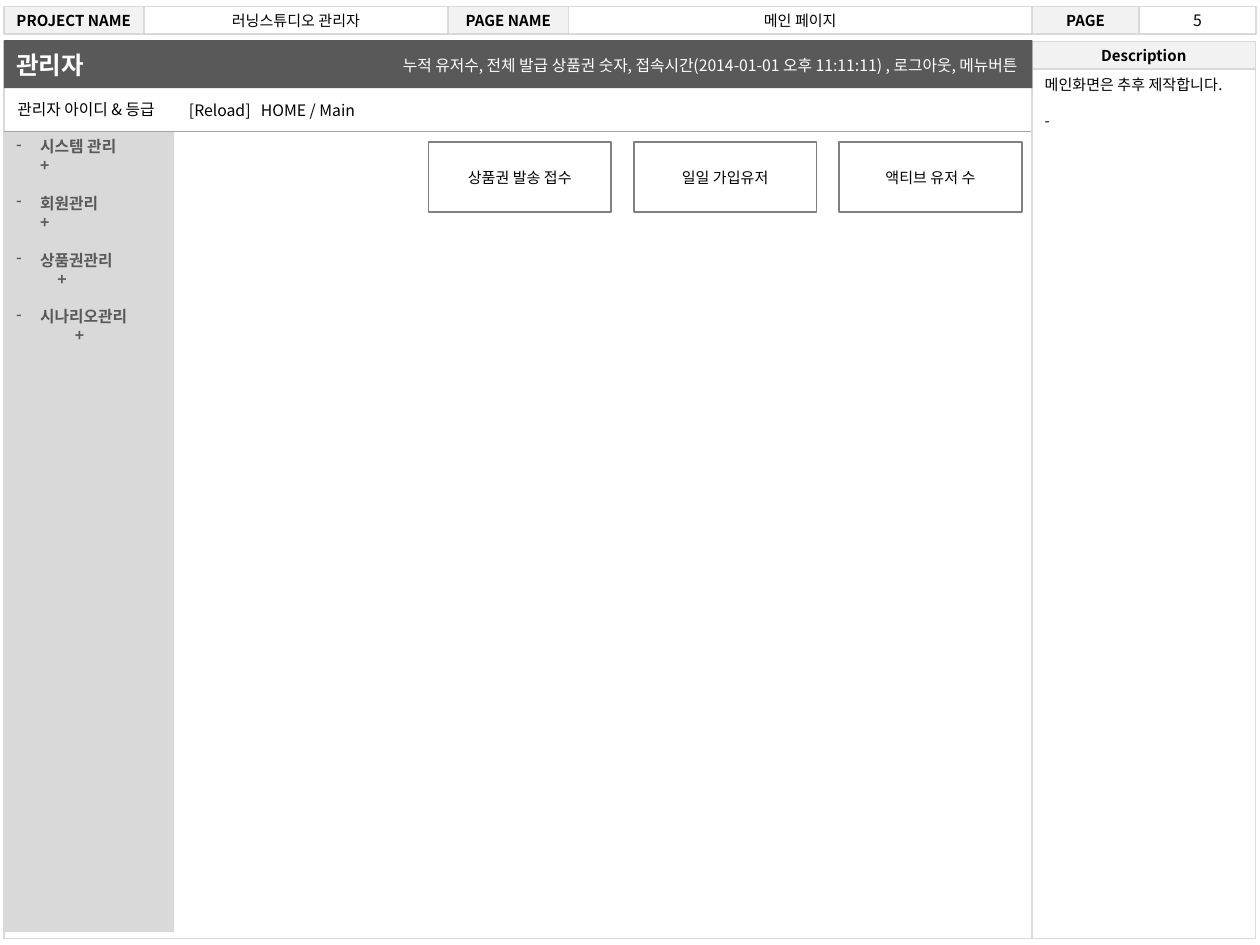
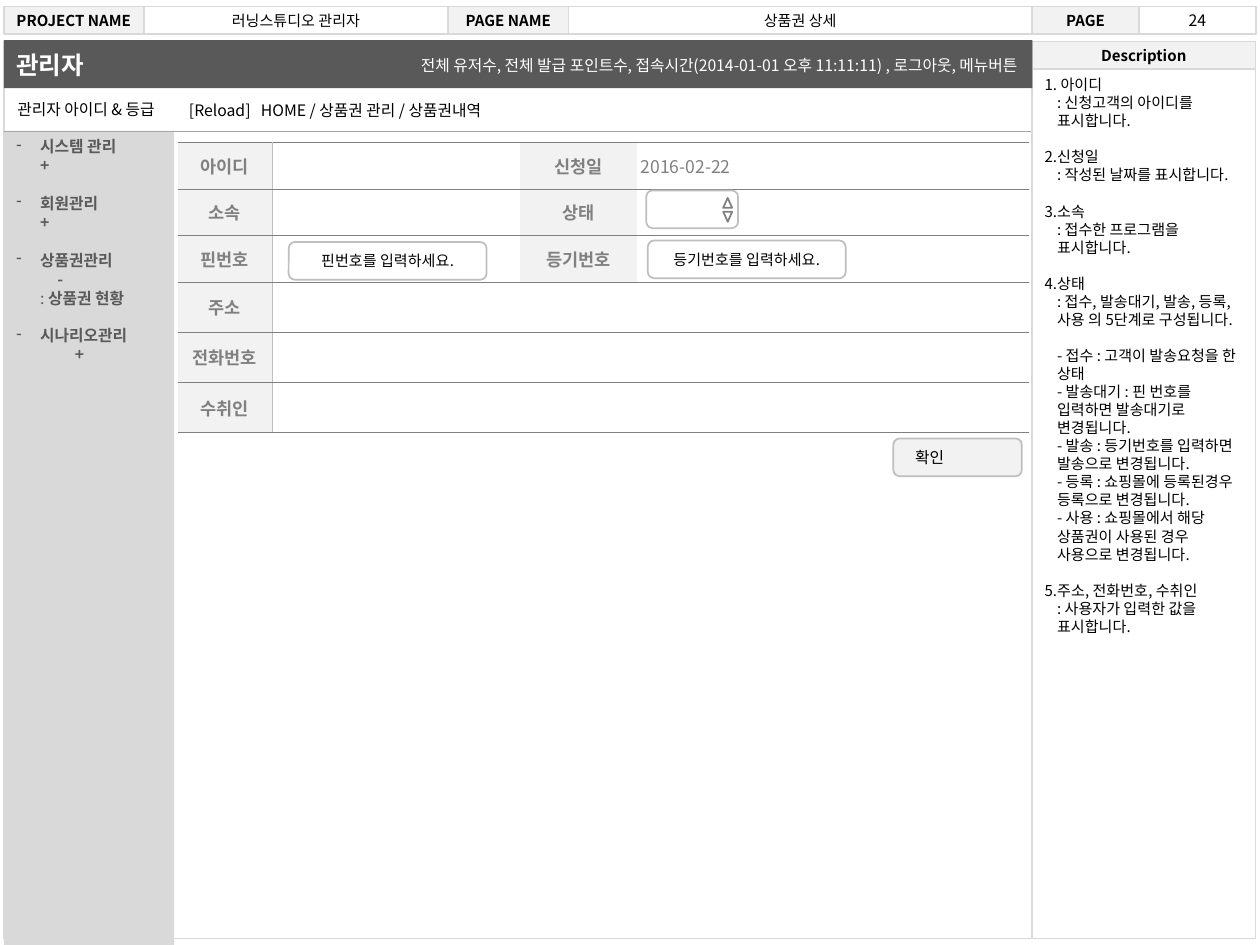
from dataclasses import dataclass
from itertools import accumulate
from typing import Any, Optional

from lxml import etree
from pptx import Presentation
from pptx import util as u
from pptx.dml import color as dml
from pptx.enum import shapes, text
from pptx.oxml import ns

Cm, Pt = u.Cm, u.Pt
RECT = shapes.MSO_SHAPE.RECTANGLE
ROUND = shapes.MSO_SHAPE.ROUNDED_RECTANGLE
TRIANGLE = shapes.MSO_SHAPE.ISOSCELES_TRIANGLE
LEFT, CENTER, RIGHT = text.PP_ALIGN.LEFT, text.PP_ALIGN.CENTER, text.PP_ALIGN.RIGHT
TOP, MIDDLE = text.MSO_ANCHOR.TOP, text.MSO_ANCHOR.MIDDLE


@dataclass(frozen=True)
class Theme:
    font: str = "Noto Sans CJK KR"
    black: str = "000000"
    white: str = "FFFFFF"
    dark: str = "595959"
    mid: str = "808080"
    rule: str = "A6A6A6"
    edge: str = "BFBFBF"
    frame: str = "D9D9D9"
    pale: str = "F2F2F2"
    small: float = 8.6
    body: float = 9
    field: float = 10
    title: float = 14
    pitch: float = 1.2


T = Theme()


@dataclass(frozen=True)
class Style:
    size: float = T.small
    color: str = T.black
    bold: bool = False


@dataclass(frozen=True)
class Box:
    x: float
    y: float
    w: float
    h: float

    def emu(self) -> tuple:
        return tuple(Cm(v) for v in (self.x, self.y, self.w, self.h))


@dataclass(frozen=True)
class Para:
    text: str
    left: float = 0
    hang: float = 0
    bullet: str = ""
    number: int = 0
    gap: bool = False
    plain: str = ""


@dataclass(frozen=True)
class MenuItem:
    name: str
    shift: float = 0
    mark: str = "+"
    child: str = ""


@dataclass(frozen=True)
class Page:
    name: str
    number: str
    status: str
    crumb: str
    user_w: float
    crumb_w: float
    side_h: float
    menu: list
    notes: list


SMALL, BODY = Style(), Style(T.body)
LABEL = Style(bold=True)
MENU = Style(T.body, T.dark, True)
STATUS = Style(T.body, T.white)
TITLE = Style(T.title, T.white, True)
FIELD, VALUE = Style(T.field, T.mid, True), Style(T.field, T.mid)


def rgb(value: str) -> dml.RGBColor:
    return dml.RGBColor.from_string(value)


def assign(obj: Any, **values: Any) -> None:
    for key, value in values.items():
        setattr(obj, key, value)


def paint(sp: Any, fill: Optional[str], line: Optional[str]) -> None:
    sp.shadow.inherit = False
    if fill:
        sp.fill.solid()
        sp.fill.fore_color.rgb = rgb(fill)
    else:
        sp.fill.background()
    if line:
        sp.line.color.rgb = rgb(line)
        sp.line.width = Pt(1)
    else:
        sp.line.fill.background()


def add_run(p: Any, words: str, style: Style) -> None:
    r = p.add_run()
    r.text = words
    assign(r.font, name=T.font, size=Pt(style.size), bold=style.bold)
    r.font.color.rgb = rgb(style.color)
    etree.SubElement(r.font._element, ns.qn("a:ea"), typeface=T.font)


def write(tf: Any, words: str, style: Style, align: Any = LEFT,
          anchor: Any = MIDDLE, inset: float = 0.25) -> None:
    assign(tf, word_wrap=True, vertical_anchor=anchor,
           auto_size=text.MSO_AUTO_SIZE.NONE,
           margin_left=Cm(inset), margin_right=Cm(inset))
    p = tf.paragraphs[0]
    p.alignment = align
    add_run(p, words, style)


def write_list(tf: Any, paras: list, style: Style) -> None:
    assign(tf, word_wrap=True, vertical_anchor=TOP)
    pitch = Pt(style.size * T.pitch)
    for i, item in enumerate(paras):
        p = tf.add_paragraph() if i else tf.paragraphs[0]
        assign(p, alignment=LEFT, line_spacing=pitch,
               space_after=pitch if item.gap else Pt(0))
        pPr = p._p.get_or_add_pPr()
        pPr.set("marL", str(Cm(item.left)))
        pPr.set("indent", str(-Cm(item.hang)))
        if item.number:
            etree.SubElement(pPr, ns.qn("a:buAutoNum"), type="arabicPeriod",
                             startAt=str(item.number))
        elif item.bullet:
            etree.SubElement(pPr, ns.qn("a:buChar"), char=item.bullet)
        if item.plain:
            add_run(p, item.plain, Style(style.size, style.color))
        for n, line in enumerate(item.text.split("\n")):
            if n:
                p.add_line_break()
            add_run(p, line, style)


def add_box(s: Any, box: Box, fill: Optional[str] = None, line: Optional[str] = None,
            kind: Any = RECT) -> Any:
    sp = s.shapes.add_shape(kind, *box.emu())
    paint(sp, fill, line)
    return sp


def add_label(s: Any, box: Box, words: str, style: Style, align: Any = LEFT) -> Any:
    sp = s.shapes.add_textbox(*box.emu())
    write(sp.text_frame, words, style, align)
    return sp


def menu_paras(items: list) -> list:
    paras = []
    for m in items:
        paras += [Para(m.name, 0.48, 0.48, "-"),
                  Para(m.mark, 0.48 + m.shift, gap=not m.child)]
        if m.child:
            paras.append(Para(m.child, 0.48, gap=True, plain=": "))
    return paras


def add_header(s: Any, page: Page) -> None:
    widths = [2.82, 6.14, 2.42, 9.35, 2.15, 2.36]
    words = ["PROJECT NAME", "러닝스튜디오 관리자", "PAGE NAME", page.name,
             "PAGE", page.number]
    starts = accumulate(widths[:-1], initial=0.08)
    for i, (x, w, label) in enumerate(zip(starts, widths, words)):
        heading = i % 2 == 0
        sp = add_box(s, Box(x, 0.13, w, 0.56), T.pale if heading else None, T.frame)
        style = LABEL if heading else BODY if label == page.number else SMALL
        write(sp.text_frame, label, style, CENTER, inset=0.05)


def add_page(prs: Any, page: Page) -> Any:
    s = prs.slides.add_slide(prs.slide_layouts[5])
    add_header(s, page)
    add_box(s, Box(0.08, 0.84, 20.73, 18.08), line=T.frame)
    sp = add_box(s, Box(20.81, 0.84, 4.5, 0.56), T.pale, T.frame)
    write(sp.text_frame, "Description", LABEL, CENTER)
    sp = add_box(s, Box(20.81, 1.4, 4.5, 17.52), line=T.frame)
    write_list(sp.text_frame, page.notes, SMALL)
    sp = add_box(s, Box(0.08, 2.64, 3.43, page.side_h), T.frame)
    write_list(sp.text_frame, menu_paras(page.menu), MENU)

    title = s.shapes.title
    band = Box(0.08, 0.81, 20.73, 0.97).emu()
    assign(title, **dict(zip(("left", "top", "width", "height"), band)))
    title.fill.solid()
    title.fill.fore_color.rgb = rgb(T.dark)
    write(title.text_frame, "관리자", TITLE)
    title.element.getparent().append(title.element)

    add_label(s, Box(5.82, 0.99, 14.94, 0.64), page.status, STATUS, RIGHT)
    line = s.shapes.add_connector(shapes.MSO_CONNECTOR.STRAIGHT,
                                  Cm(0.08), Cm(2.64), Cm(20.78), Cm(2.64))
    line.line.color.rgb = rgb(T.rule)
    line.line.width = Pt(0.25)
    etree.SubElement(line._element.spPr, ns.qn("a:effectLst"))
    add_label(s, Box(0.1, 1.88, page.user_w, 0.64), "관리자 아이디 & 등급", BODY)
    sp = add_label(s, Box(3.56, 1.9, page.crumb_w, 0.64),
                   "[Reload]\t" + page.crumb, BODY)
    pPr = sp.text_frame.paragraphs[0]._p.get_or_add_pPr()
    tabs = etree.SubElement(pPr, ns.qn("a:tabLst"))
    etree.SubElement(tabs, ns.qn("a:tab"), pos=str(Cm(1.45)), algn="l")
    return s


def add_borders(cell: Any, edges: dict) -> None:
    tcPr = cell._tc.get_or_add_tcPr()
    for i, side in enumerate(("L", "R", "T", "B")):
        ln = etree.Element(ns.qn(f"a:ln{side}"), w=str(Pt(0.25)))
        if side in edges:
            fill = etree.SubElement(ln, ns.qn("a:solidFill"))
            etree.SubElement(fill, ns.qn("a:srgbClr"), val=edges[side])
        else:
            etree.SubElement(ln, ns.qn("a:noFill"))
        tcPr.insert(i, ln)


def add_form(s: Any) -> None:
    rows = [("아이디", "", "신청일", "2016-02-22"), ("소속", "", "상태", ""),
            ("핀번호", "", "등기번호", ""), ("주소", "", "", ""),
            ("전화번호", "", "", ""), ("수취인", "", "", "")]
    widths, heights = [1.9, 5, 2.36, 7.9], [0.94] * 3 + [1.01] * 3
    tbl = s.shapes.add_table(len(rows), len(widths),
                             *Box(3.58, 2.87, sum(widths), sum(heights)).emu()).table
    assign(tbl, first_row=False, horz_banding=False)
    for col, w in zip(tbl.columns, widths):
        col.width = Cm(w)
    for i, (row, h) in enumerate(zip(rows, heights)):
        tbl.rows[i].height = Cm(h)
        for j, words in enumerate(row):
            cell = tbl.cell(i, j)
            heading = j % 2 == 0 and bool(words)
            assign(cell, vertical_anchor=MIDDLE, margin_left=Cm(0.08),
                   margin_right=Cm(0.08), margin_top=Cm(0.05), margin_bottom=Cm(0.05))
            if heading:
                cell.fill.solid()
                cell.fill.fore_color.rgb = rgb(T.pale)
            else:
                cell.fill.background()
            p = cell.text_frame.paragraphs[0]
            p.alignment = CENTER if heading else LEFT
            if words:
                add_run(p, words, FIELD if heading else VALUE)
            else:
                etree.SubElement(p._p, ns.qn("a:endParaRPr"), sz=str(T.field * 100))
            side = {0: {"R": T.edge}, 1: {"L": T.edge}}.get(j, {})
            add_borders(cell, {"T": T.mid, "B": T.mid, **side})
        if not row[2]:
            tbl.cell(i, 1).merge(tbl.cell(i, 3))


def add_cards(s: Any) -> None:
    for i, words in enumerate(("상품권 발송 접수", "일일 가입유저", "액티브 유저 수")):
        sp = add_box(s, Box(8.64 + 4.14 * i, 2.87, 3.68, 1.4), T.white, T.mid)
        write(sp.text_frame, words, SMALL, CENTER)


def add_controls(s: Any) -> None:
    sp = add_box(s, Box(18.01, 8.84, 2.59, 0.76), T.pale, T.edge, ROUND)
    write(sp.text_frame, "확인", BODY, inset=0.4)
    add_box(s, Box(13.03, 3.84, 1.85, 0.76), T.white, T.edge, ROUND)
    for y, turn in ((3.99, 0), (4.27, 180)):
        add_box(s, Box(14.58, y, 0.18, 0.2), T.white, T.mid, TRIANGLE).rotation = turn
    for x, y, words in ((5.82, 4.88, "핀번호를 입력하세요."),
                        (13.06, 4.85, "등기번호를 입력하세요.")):
        sp = add_box(s, Box(x, y, 3.99, 0.76), T.white, T.edge, ROUND)
        write(sp.text_frame, words, SMALL, CENTER)


def note(number: int, words: str) -> Para:
    return Para(words, 0.25, 0.25, number=number, gap=True)


SYSTEM, MEMBER = MenuItem("시스템 관리"), MenuItem("회원관리")
SCENARIO = MenuItem("시나리오관리", 0.7)
SESSION = "접속시간(2014-01-01 오후 11:11:11) , 로그아웃, 메뉴버튼"
STATES = """- 접수 : 고객이 발송요청을 한 상태
- 발송대기 : 핀 번호를 입력하면 발송대기로 변경됩니다.
- 발송 : 등기번호를 입력하면 발송으로 변경됩니다.
- 등록 : 쇼핑몰에 등록된경우 등록으로 변경됩니다.
- 사용 : 쇼핑몰에서 해당 상품권이 사용된 경우 사용으로 변경됩니다."""

MAIN = Page("메인 페이지", "5", "누적 유저수, 전체 발급 상품권 숫자, " + SESSION,
            "HOME / Main", 3.81, 6.25, 16.15,
            [SYSTEM, MEMBER, MenuItem("상품권관리", 0.35), SCENARIO],
            [Para("메인화면은 추후 제작합니다.", gap=True), Para("-")])
DETAIL = Page("상품권 상세", "24", "전체 유저수, 전체 발급 포인트수, " + SESSION,
              "HOME / 상품권 관리 / 상품권내역", 5.21, 8.97, 16.41,
              [SYSTEM, MEMBER, MenuItem("상품권관리", 0.35, "-", "상품권 현황"), SCENARIO],
              [note(1, " 아이디\n: 신청고객의 아이디를 표시합니다."),
               note(2, "신청일\n: 작성된 날짜를 표시합니다."),
               note(3, "소속\n: 접수한 프로그램을 표시합니다."),
               note(4, "상태\n: 접수, 발송대기, 발송, 등록,사용 의 5단계로 구성됩니다."),
               Para(STATES, 0.25, gap=True),
               note(5, "주소, 전화번호, 수취인\n: 사용자가 입력한 값을 표시합니다.")])

prs = Presentation()
assign(prs, slide_width=Cm(25.4), slide_height=Cm(19.05))
add_cards(add_page(prs, MAIN))
detail = add_page(prs, DETAIL)
add_form(detail)
add_controls(detail)
prs.save("out.pptx")
